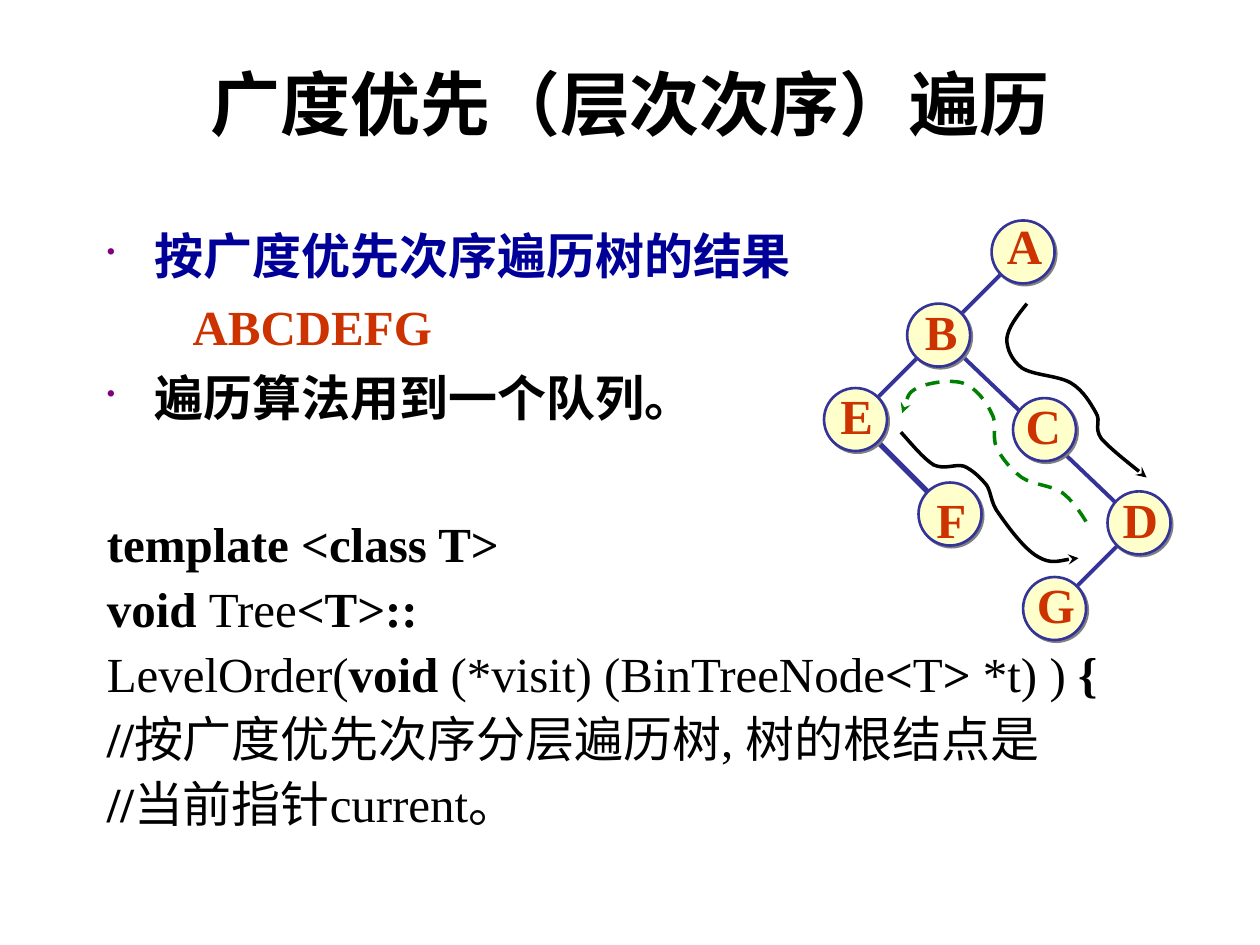
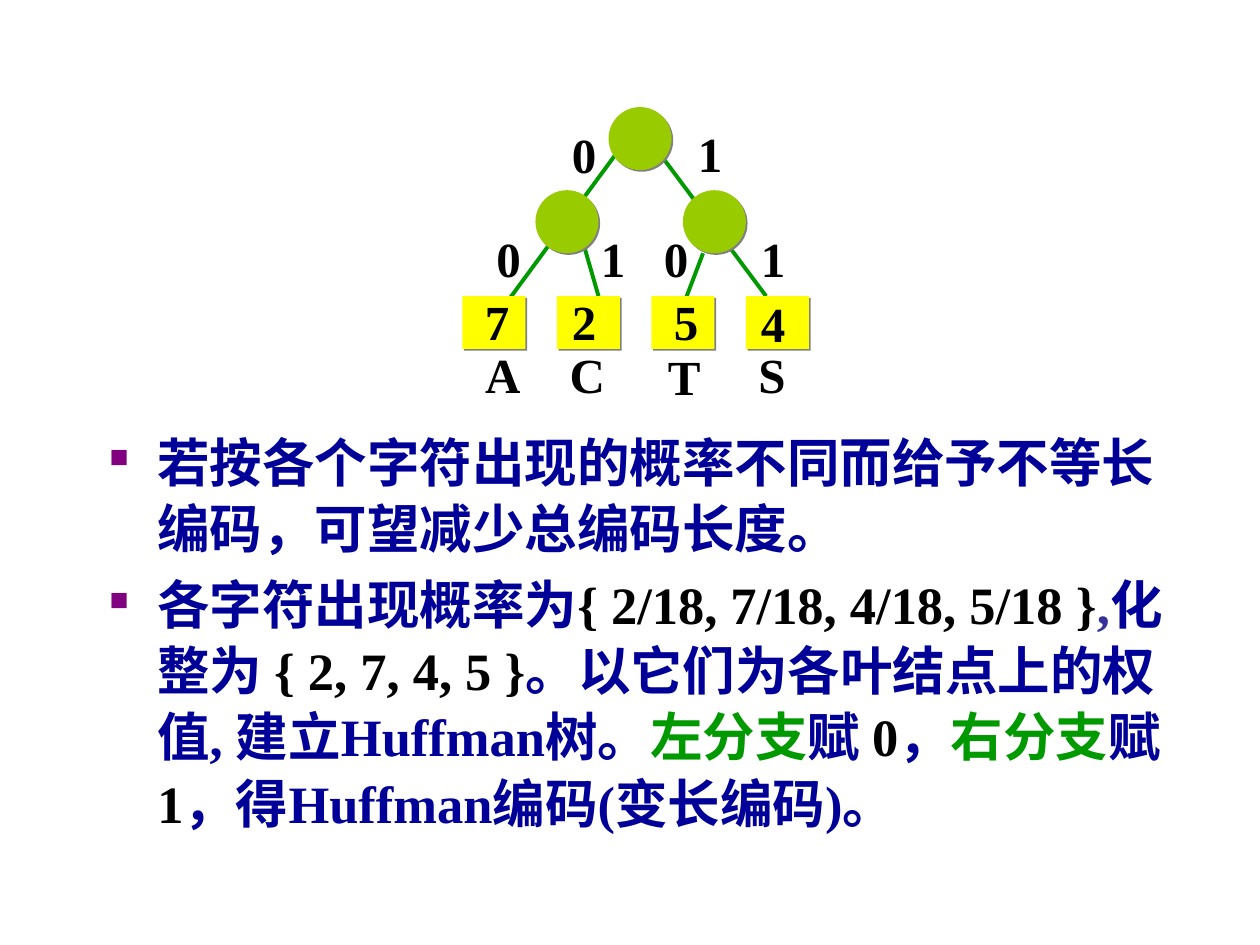
from dataclasses import dataclass
from typing import Any, NamedTuple, Optional

from lxml import etree
from pptx import Presentation, util as u
from pptx.dml.color import RGBColor
from pptx.enum import dml, shapes, text
from pptx.oxml import ns

COLORS = {
    "black": "000000", "navy": "000099", "indigo": "333399", "red": "CC3300",
    "purple": "800080", "cream": "FFFFCC", "shadow": "808080", "green": "009900",
    "dark_green": "008000", "lime": "99CC00", "yellow": "FFFF00",
}
LATIN_FONT = "Times New Roman"
CJK_FONT = "Noto Sans CJK JP"
NODE_SIZE = 0.5
LEAF_HEIGHT = 0.42
LABEL_HEIGHT = 0.57
LABEL_FRAME = {
    "word_wrap": False,
    "auto_size": text.MSO_AUTO_SIZE.SHAPE_TO_FIT_TEXT,
    "vertical_anchor": text.MSO_ANCHOR.MIDDLE,
}
BODY_FRAME = {"word_wrap": True, "vertical_anchor": text.MSO_ANCHOR.TOP}
CENTERED = {"alignment": text.PP_ALIGN.CENTER}


class Run(NamedTuple):
    words: str
    color: str = "black"
    bold: bool = True


class Box(NamedTuple):
    left: float
    top: float
    width: float
    height: float


class Edge(NamedTuple):
    start: tuple[float, float]
    end: tuple[float, float]
    width: float = 2.25


class Label(NamedTuple):
    words: str
    left: float
    top: float
    width: float = 0.39


class Node(NamedTuple):
    left: float
    top: float
    label: Label


class Route(NamedTuple):
    color: str
    dashed: bool
    points: list[tuple[float, float]]


@dataclass
class Passage:
    runs: list[Run]
    size: float = 28
    margin: float = 0.38
    indent: float = -0.38
    before: float = 7
    spacing: float = 1.0
    bullet: Optional[str] = None
    latin: str = LATIN_FONT


def apply_format(target: Any, values: dict[str, Any]) -> None:
    for name, value in values.items():
        setattr(target, name, value)


def rgb(color: str) -> RGBColor:
    return RGBColor.from_string(COLORS[color])


def add_child(parent: Any, tag: str, **attributes: str) -> Any:
    return etree.SubElement(parent, ns.qn(tag), attributes)


def add_runs(paragraph: Any, runs: list[Run], size: float, latin: str = LATIN_FONT) -> None:
    for item in runs:
        run = paragraph.add_run()
        run.text = item.words
        apply_format(run.font, {"size": u.Pt(size), "bold": item.bold, "name": latin})
        run.font.color.rgb = rgb(item.color)
        add_child(run._r.get_or_add_rPr(), "a:ea", typeface=CJK_FONT)


def add_text_frame(parent: Any, box: Box, frame_format: dict[str, Any]) -> Any:
    shape = parent.add_textbox(*(u.Inches(length) for length in box))
    apply_format(shape.text_frame, frame_format)
    return shape.text_frame


def add_passages(parent: Any, box: Box, passages: list[Passage]) -> None:
    frame = add_text_frame(parent, box, BODY_FRAME)
    for index, passage in enumerate(passages):
        paragraph = frame.add_paragraph() if index else frame.paragraphs[0]
        apply_format(paragraph, {"line_spacing": passage.spacing,
                                 "space_before": u.Pt(passage.before)})
        properties = paragraph._p.get_or_add_pPr()
        properties.set("marL", str(u.Inches(passage.margin)))
        properties.set("indent", str(u.Inches(passage.indent)))
        if passage.bullet:
            add_child(add_child(properties, "a:buClr"), "a:srgbClr", val=COLORS["purple"])
            add_child(properties, "a:buSzPct", val="50000")
            add_child(properties, "a:buChar", char=passage.bullet)
        add_runs(paragraph, passage.runs, passage.size, passage.latin)


def add_title(parent: Any, words: str) -> None:
    frame = add_text_frame(parent, Box(0.5, 0.3, 9, 1.03),
                           {"word_wrap": True, "vertical_anchor": text.MSO_ANCHOR.MIDDLE})
    apply_format(frame.paragraphs[0], CENTERED)
    add_runs(frame.paragraphs[0], [Run(words)], 40, CJK_FONT)


def add_label(parent: Any, label: Label, color: str) -> None:
    box = Box(label.left, label.top, label.width, LABEL_HEIGHT)
    paragraph = add_text_frame(parent, box, LABEL_FRAME).paragraphs[0]
    apply_format(paragraph, CENTERED)
    add_runs(paragraph, [Run(label.words, color)], 28)


def add_edge(parent: Any, edge: Edge, color: str) -> None:
    ends = (u.Inches(length) for length in (*edge.start, *edge.end))
    connector = parent.add_connector(shapes.MSO_CONNECTOR.STRAIGHT, *ends)
    connector.line.color.rgb = rgb(color)
    connector.line.width = u.Pt(edge.width)
    add_child(connector.element.spPr, "a:effectLst")


def add_solid(parent: Any, kind: Any, box: Box, fill: str, outline: Optional[str] = None) -> None:
    shape = parent.add_shape(kind, *(u.Inches(length) for length in box))
    shape.fill.solid()
    shape.fill.fore_color.rgb = rgb(fill)
    if outline:
        shape.line.color.rgb = rgb(outline)
        shape.line.width = u.Pt(1.5)
    else:
        shape.line.fill.background()
    effects = add_child(shape.element.spPr, "a:effectLst")
    shadow = add_child(effects, "a:outerShdw", dist=str(u.Pt(1.4)), dir="2700000",
                       algn="ctr", rotWithShape="0")
    add_child(shadow, "a:srgbClr", val=COLORS["shadow"])


def add_route(parent: Any, route: Route) -> None:
    start, *controls = [(u.Inches(x), u.Inches(y)) for x, y in route.points]
    builder = parent.build_freeform(*start)
    builder.add_line_segments(controls, close=False)
    shape = builder.convert_to_shape()
    segments = list(shape.element.iter(ns.qn("a:lnTo")))
    for first in range(0, len(segments), 3):
        curve = etree.Element(ns.qn("a:cubicBezTo"))
        segments[first].addprevious(curve)
        for segment in segments[first:first + 3]:
            curve.append(segment[0])
            segment.getparent().remove(segment)
    shape.shadow.inherit = False
    shape.fill.background()
    shape.line.color.rgb = rgb(route.color)
    shape.line.width = u.Pt(2)
    if route.dashed:
        shape.line.dash_style = dml.MSO_LINE.DASH
    add_child(shape.line._get_or_add_ln(), "a:tailEnd", type="stealth")


TRAVERSAL_EDGES = [
    Edge((8.95, 4.25), (8.45, 4.75)),
    Edge((6.87, 3.41), (7.37, 3.91), 3),
    Edge((8.04, 2.08), (6.87, 3.25)),
    Edge((7.62, 2.81), (8.95, 4.08)),
]
TRAVERSAL_NODES = [
    Node(7.87, 1.75, Label("A", 7.89, 1.66, 0.48)),
    Node(7.2, 2.41, Label("B", 7.24, 2.34, 0.46)),
    Node(8.04, 3.16, Label("C", 8.04, 3.09, 0.48)),
    Node(8.79, 3.9, Label("D", 8.81, 3.83, 0.48)),
    Node(6.54, 3.08, Label("E", 6.57, 3.01, 0.46)),
    Node(7.29, 3.83, Label("F", 7.33, 3.83, 0.44)),
    Node(8.12, 4.58, Label("G", 8.13, 4.51, 0.5)),
]
LEVEL_ROUTES = [
    Route("black", False, [
        (8.15, 2.41), (8.07, 2.51), (8, 2.6), (7.99, 2.69), (7.99, 2.77), (8.03, 2.86),
        (8.11, 2.92), (8.2, 2.98), (8.4, 2.98), (8.5, 3.04), (8.6, 3.1), (8.66, 3.21),
        (8.7, 3.28), (8.74, 3.35), (8.68, 3.39), (8.74, 3.48), (8.81, 3.56), (9.04, 3.74),
        (9.1, 3.79)]),
    Route("dark_green", True, [
        (8.62, 4.14), (8.57, 4.06), (8.51, 3.97), (8.43, 3.91), (8.34, 3.85), (8.2, 3.85),
        (8.11, 3.79), (8.03, 3.73), (7.95, 3.64), (7.91, 3.55), (7.87, 3.47), (7.92, 3.36),
        (7.87, 3.28), (7.83, 3.19), (7.74, 3.07), (7.64, 3.04), (7.54, 3.01), (7.36, 3.04),
        (7.28, 3.08), (7.2, 3.12), (7.18, 3.24), (7.16, 3.28)]),
    Route("black", False, [
        (7.15, 3.43), (7.24, 3.53), (7.33, 3.64), (7.41, 3.69), (7.5, 3.73), (7.58, 3.68),
        (7.65, 3.7), (7.72, 3.73), (7.78, 3.79), (7.83, 3.85), (7.87, 3.91), (7.86, 3.99),
        (7.93, 4.08), (8, 4.18), (8.13, 4.36), (8.24, 4.42), (8.34, 4.48), (8.5, 4.43),
        (8.56, 4.43)]),
]
CODE_LINES = [
    [Run("template <class T>")],
    [Run("void "), Run("Tree", bold=False), Run("<T>::")],
    [Run("LevelOrder(", bold=False), Run("void"), Run(" (*visit) (BinTreeNode", bold=False),
     Run("<"), Run("T", bold=False), Run(">"), Run(" *t) ) ", bold=False), Run("{")],
    [Run("//"), Run("按广度优先次序分层遍历树, 树的根结点是", bold=False)],
    [Run("//"), Run("当前指针current。", bold=False)],
]
HUFFMAN_EDGES = [
    Edge((5.58, 2.01), (5.42, 2.43)),
    Edge((5.08, 1.01), (6.08, 2.35)),
    Edge((4.58, 1.76), (4.75, 2.35)),
    Edge((4.92, 1.18), (4, 2.43)),
]
INNER_NODES = [(4.83, 0.85), (4.25, 1.51), (5.42, 1.51)]
LEAF_LEFTS = [3.67 + 0.75 * index for index in range(4)]
HUFFMAN_LABELS = [
    Label("7", 3.75, 2.26), Label("2", 4.44, 2.26), Label("5", 5.25, 2.26),
    Label("4", 5.94, 2.28),
    Label("0", 4.44, 0.94), Label("1", 5.44, 0.93),
    Label("0", 3.84, 1.76), Label("1", 4.67, 1.76), Label("0", 5.17, 1.76),
    Label("1", 5.94, 1.76),
    Label("A", 3.75, 2.68, 0.48), Label("C", 4.42, 2.68, 0.48),
    Label("T", 5.2, 2.7, 0.46), Label("S", 5.92, 2.68, 0.41),
]
HUFFMAN_NOTES = [
    [Run("若按各个字符出现的概率不同而给予不等长编码，可望减少总编码长度。", "navy")],
    [Run("各字符出现概率为", "navy"), Run("{ 2/18, 7/18, 4/18, 5/18 }"), Run(",", "indigo"),
     Run("化整为 ", "navy"), Run("{ 2, 7, 4, 5 }"),
     Run("。以它们为各叶结点上的权值, 建立Huffman树。", "navy"), Run("左分支", "green"),
     Run("赋 ", "navy"), Run("0"), Run("，", "navy"), Run("右分支", "green"),
     Run("赋 ", "navy"), Run("1"), Run("，得Huffman编码(变长编码)。", "navy")],
]


def build_traversal_slide(slide: Any) -> None:
    add_title(slide.shapes, "广度优先（层次次序）遍历")
    passages = [
        Passage([Run("按广度优先次序遍历树的结果", "navy")], bullet="•"),
        Passage([Run("ABCDEFG", "red")], margin=0.68, indent=0),
        Passage([Run("遍历算法用到一个队列。")], bullet="•"),
    ]
    passages += [Passage(runs, before=1.8 if index else 48, spacing=1.05)
                 for index, runs in enumerate(CODE_LINES)]
    add_passages(slide.shapes, Box(0.75, 1.74, 8.35, 5.24), passages)
    tree = slide.shapes.add_group_shape().shapes
    for edge in TRAVERSAL_EDGES:
        add_edge(tree, edge, "indigo")
    for node in TRAVERSAL_NODES:
        add_solid(tree, shapes.MSO_SHAPE.OVAL, Box(node.left, node.top, NODE_SIZE, NODE_SIZE),
                  "cream", "indigo")
        add_label(tree, node.label, "red")
    for route in LEVEL_ROUTES:
        add_route(tree, route)


def build_huffman_slide(slide: Any) -> None:
    add_passages(slide.shapes, Box(0.77, 3.34, 8.83, 3.33),
                 [Passage(runs, size=30, before=5.6, spacing=1.05, bullet="■")
                  for runs in HUFFMAN_NOTES])
    tree = slide.shapes.add_group_shape().shapes
    for edge in HUFFMAN_EDGES:
        add_edge(tree, edge, "green")
    for left, top in INNER_NODES:
        add_solid(tree, shapes.MSO_SHAPE.OVAL, Box(left, top, NODE_SIZE, NODE_SIZE), "lime")
    for left in LEAF_LEFTS:
        add_solid(tree, shapes.MSO_SHAPE.RECTANGLE, Box(left, 2.35, NODE_SIZE, LEAF_HEIGHT),
                  "yellow")
    for label in HUFFMAN_LABELS:
        add_label(tree, label, "black")


def main() -> None:
    presentation = Presentation()
    apply_format(presentation, {"slide_width": u.Inches(10), "slide_height": u.Inches(7.5)})
    for build in (build_traversal_slide, build_huffman_slide):
        build(presentation.slides.add_slide(presentation.slide_layouts[6]))
    presentation.save("out.pptx")


if __name__ == "__main__":
    main()
